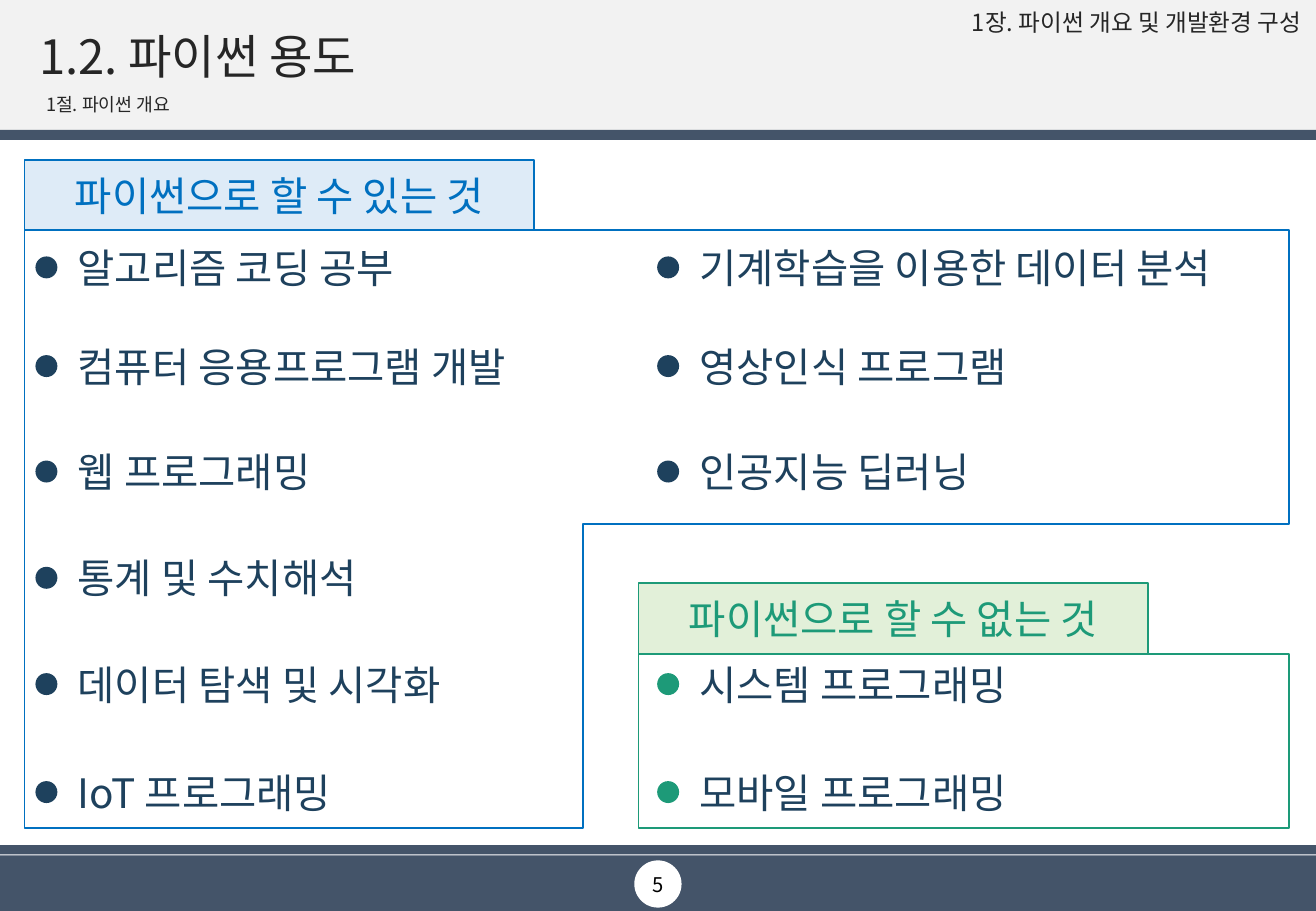
from dataclasses import dataclass

from lxml import etree
from pptx import Presentation
from pptx.dml.color import RGBColor
from pptx.enum import shapes as kinds, text as txt
from pptx.oxml import ns
from pptx.util import Pt

FONT = "Noto Sans CJK KR"
SLATE, NAVY, INK = "445469", "1E415D", "262626"
BLUE, GREEN = "0070C0", "1D9A78"
RECT, OVAL = kinds.MSO_SHAPE.RECTANGLE, kinds.MSO_SHAPE.OVAL
LEFT, CENTER, RIGHT = txt.PP_ALIGN.LEFT, txt.PP_ALIGN.CENTER, txt.PP_ALIGN.RIGHT
TOP, MIDDLE = txt.MSO_ANCHOR.TOP, txt.MSO_ANCHOR.MIDDLE

ROW_TOPS = (140.5, 199, 261.5, 324.5, 387.5, 451.5)
DOT_SIZE, DOT_INDENT, DOT_DROP = 13, 18, 11.5


@dataclass(frozen=True)
class Box:
    left: float
    top: float
    width: float
    height: float

    def lengths(self) -> tuple:
        return Pt(self.left), Pt(self.top), Pt(self.width), Pt(self.height)


@dataclass(frozen=True)
class TextStyle:
    size: float
    color: str
    align: txt.PP_ALIGN = LEFT
    anchor: txt.MSO_ANCHOR = TOP
    insets: tuple = (7.2, 3.6, 7.2, 3.6)
    line_spacing: float = 1.0
    space_before: float = 0


@dataclass(frozen=True)
class Topics:
    left: float
    first_row: int
    dot_color: str
    names: tuple


@dataclass(frozen=True)
class Heading:
    box: Box
    label: str
    fill: str
    accent: str


TOPIC_GROUPS = (
    Topics(39, 0, NAVY, ("알고리즘 코딩 공부", "컴퓨터 응용프로그램 개발", "웹 프로그래밍",
                         "통계 및 수치해석", "데이터 탐색 및 시각화", "IoT 프로그래밍")),
    Topics(407.5, 0, NAVY, ("기계학습을 이용한 데이터 분석", "영상인식 프로그램", "인공지능 딥러닝")),
    Topics(407.5, 4, GREEN, ("시스템 프로그래밍", "모바일 프로그래밍")),
)
POSSIBLE = Heading(Box(14.5, 95, 302, 41.5), "파이썬으로 할 수 있는 것", "DEEBF7", BLUE)
IMPOSSIBLE = Heading(Box(378.5, 345.5, 302, 42), "파이썬으로 할 수 없는 것", "E2F0D9", GREEN)
POSSIBLE_OUTLINE = ((14.5, 136.5), (14.5, 491), (345.5, 491),
                    (345.5, 310.5), (764, 310.5), (764, 136.5))
IMPOSSIBLE_FRAME = Box(378.5, 387.5, 385.5, 103.5)
BANDS = (
    (Box(0, 507, 780, 33), SLATE),
    (Box(0, 501, 780, 5.5), SLATE),
    (Box(0, 0, 780, 77), "F2F2F2"),
    (Box(0, 77, 780, 6), SLATE),
)


def rgb(value: str) -> RGBColor:
    return RGBColor.from_string(value)


def paint(shape, fill: str | None = None, line: str | None = None) -> None:
    shape.shadow.inherit = False
    if fill:
        shape.fill.solid()
        shape.fill.fore_color.rgb = rgb(fill)
    else:
        shape.fill.background()
    if line:
        shape.line.color.rgb = rgb(line)
        shape.line.width = Pt(1)
    else:
        shape.line.fill.background()


def write(shape, words: str, style: TextStyle) -> None:
    frame = shape.text_frame
    frame.text = words
    frame.word_wrap = True
    frame.auto_size = txt.MSO_AUTO_SIZE.NONE
    frame.vertical_anchor = style.anchor
    (frame.margin_left, frame.margin_top,
     frame.margin_right, frame.margin_bottom) = map(Pt, style.insets)
    paragraph = frame.paragraphs[0]
    paragraph.alignment = style.align
    paragraph.line_spacing = style.line_spacing
    paragraph.space_before = Pt(style.space_before)
    for run in paragraph.runs:
        run.font.size = Pt(style.size)
        run.font.name = FONT
        run.font.color.rgb = rgb(style.color)
        east_asian = etree.Element(ns.qn("a:ea"), typeface=FONT)
        run.font._element.find(ns.qn("a:latin")).addnext(east_asian)


def add_preset(slide, preset, box: Box, fill: str | None = None, line: str | None = None):
    shape = slide.shapes.add_shape(preset, *box.lengths())
    paint(shape, fill, line)
    return shape


def add_words(slide, box: Box, words: str, style: TextStyle) -> None:
    write(slide.shapes.add_textbox(*box.lengths()), words, style)


def fill_placeholder(placeholder, box: Box, words: str, style: TextStyle) -> None:
    (placeholder.left, placeholder.top,
     placeholder.width, placeholder.height) = box.lengths()
    write(placeholder, words, style)
    placeholder.element.getparent().append(placeholder.element)


def remove_bullet(placeholder) -> None:
    properties = placeholder.text_frame.paragraphs[0]._p.get_or_add_pPr()
    properties.set("marL", "0")
    properties.set("indent", "0")
    etree.SubElement(properties, ns.qn("a:buNone"))


def add_topics(slide, group: Topics) -> None:
    style = TextStyle(24, NAVY)
    for top, name in zip(ROW_TOPS[group.first_row:], group.names):
        add_words(slide, Box(group.left, top, 351, 36), name, style)
        dot = Box(group.left - DOT_INDENT, top + DOT_DROP, DOT_SIZE, DOT_SIZE)
        add_preset(slide, OVAL, dot, group.dot_color)


def add_heading(slide, heading: Heading) -> None:
    tab = add_preset(slide, RECT, heading.box, heading.fill, heading.accent)
    write(tab, heading.label, TextStyle(24, heading.accent, CENTER, MIDDLE))


def add_outline(slide, corners: tuple, color: str) -> None:
    start, *others = [(Pt(x), Pt(y)) for x, y in corners]
    builder = slide.shapes.build_freeform(*start)
    builder.add_line_segments(others, close=True)
    paint(builder.convert_to_shape(), line=color)


def main() -> None:
    deck = Presentation()
    deck.slide_width, deck.slide_height = Pt(780), Pt(540)
    slide = deck.slides.add_slide(deck.slide_layouts[1])

    for box, color in BANDS:
        add_preset(slide, RECT, box, color)
    add_preset(slide, OVAL, Box(376, 510, 28, 28), "FFFFFF")
    add_words(slide, Box(302, 510, 176, 28), "5", TextStyle(12, "000000", CENTER, MIDDLE))
    add_words(slide, Box(564.5, 3.5, 210, 36), "1장. 파이썬 개요 및 개발환경 구성",
              TextStyle(14, INK, RIGHT, TOP, (3, 3, 3, 3), 0.9, 8.1))

    section = slide.placeholders[1]
    fill_placeholder(slide.shapes.title, Box(16, 15, 748, 40), "1.2. 파이썬 용도",
                     TextStyle(28, INK, anchor=MIDDLE, line_spacing=0.9))
    fill_placeholder(section, Box(21.5, 54.5, 743, 17.5), "1절. 파이썬 개요",
                     TextStyle(10.8, INK, LEFT, MIDDLE, (5.8, 3.6, 7.2, 3.6), 0.7, 8.1))
    remove_bullet(section)

    for group in TOPIC_GROUPS:
        add_topics(slide, group)
    add_outline(slide, POSSIBLE_OUTLINE, BLUE)
    add_heading(slide, POSSIBLE)
    add_preset(slide, RECT, IMPOSSIBLE_FRAME, line=GREEN)
    add_heading(slide, IMPOSSIBLE)

    deck.save("out.pptx")


if __name__ == "__main__":
    main()
